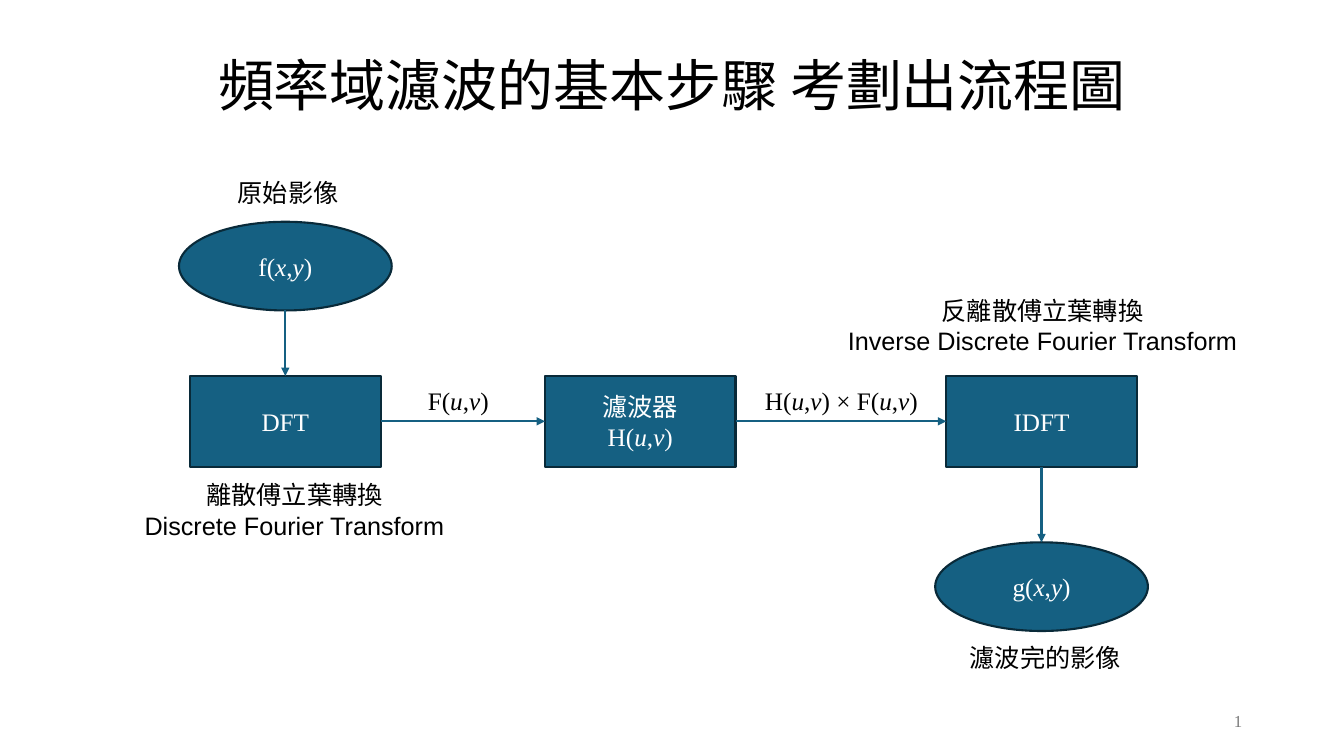
import pptx
import pptx.dml.color
import pptx.enum.shapes
import pptx.enum.text
import pptx.oxml
import pptx.oxml.ns
import pptx.util
from lxml import etree

Inches, Pt = pptx.util.Inches, pptx.util.Pt
RGBColor = pptx.dml.color.RGBColor
MSO_SHAPE = pptx.enum.shapes.MSO_SHAPE
ALIGN = pptx.enum.text.PP_ALIGN
ANCHOR = pptx.enum.text.MSO_ANCHOR
AUTO_SIZE = pptx.enum.text.MSO_AUTO_SIZE
qn = pptx.oxml.ns.qn

TEAL = RGBColor(0x15, 0x60, 0x82)
NAVY = RGBColor(0x09, 0x2A, 0x39)
BLACK = RGBColor(0, 0, 0)
WHITE = RGBColor(0xFF, 0xFF, 0xFF)
GRAY = RGBColor(0x79, 0x79, 0x79)
SERIF, SANS = "Times New Roman", "Arial"

STEP = (MSO_SHAPE.RECTANGLE, 1.89, 0.9)
IMAGE = (MSO_SHAPE.OVAL, 2.11, 0.88)


def apply(target, formats):
    for name, value in formats.items():
        setattr(target, name, value)


class FlowSlide:
    """Holds the shared style and the slide being drawn."""

    line_width = Pt(1.5)

    def __init__(self, deck):
        self.slide = deck.slides.add_slide(deck.slide_layouts[5])
        self.shapes = self.slide.shapes

    def set_text(self, shape, lines, size=18, color=BLACK, fonts=(SERIF,),
                 align=ALIGN.CENTER, **frame_formats):
        """Fill a shape; text between asterisks is italic."""
        frame = shape.text_frame
        apply(frame, {"word_wrap": True, "auto_size": AUTO_SIZE.NONE,
                      "vertical_anchor": ANCHOR.TOP, **frame_formats})
        for index, line in enumerate(lines):
            paragraph = frame.add_paragraph() if index else frame.paragraphs[0]
            paragraph.alignment = align
            for part, text in enumerate(line.split("*")):
                run = paragraph.add_run()
                run.text = text
                apply(run.font, {"size": Pt(size), "italic": part % 2 == 1,
                                 "name": fonts[min(index, len(fonts) - 1)]})
                run.font.color.rgb = color

    def title(self, text):
        heading = self.shapes.title
        apply(heading, {"left": 0, "top": Inches(0.45),
                        "width": Inches(13.33), "height": Inches(0.77)})
        self.set_text(heading, [text], size=40)

    def label(self, left, top, width, height, lines, **formats):
        box = self.shapes.add_textbox(Inches(left), Inches(top),
                                      Inches(width), Inches(height))
        self.set_text(box, lines, **formats)
        return box

    def node(self, kind, center_x, center_y, lines):
        preset, width, height = kind
        shape = self.shapes.add_shape(
            preset, Inches(center_x - width / 2), Inches(center_y - height / 2),
            Inches(width), Inches(height))
        shape.shadow.inherit = False
        shape.fill.solid()
        shape.fill.fore_color.rgb = TEAL
        shape.line.color.rgb = NAVY
        shape.line.width = self.line_width
        self.set_text(shape, lines, color=WHITE, vertical_anchor=ANCHOR.MIDDLE)
        return shape

    def arrow(self, source, target, down=False):
        """Run from the bottom (or right) of source to the top (or left) of target."""
        if down:
            start = source.left + source.width // 2, source.top + source.height
        else:
            start = source.left + source.width, source.top + source.height // 2
        link = self.shapes.add_connector(
            pptx.enum.shapes.MSO_CONNECTOR.STRAIGHT, *start, *start)
        link.end_connect(target, 0 if down else 1)
        link.line.color.rgb = TEAL
        link.line.width = self.line_width
        properties = link._element.spPr
        etree.SubElement(properties.find(qn("a:ln")), qn("a:tailEnd"), type="triangle")
        etree.SubElement(properties, qn("a:effectLst"))

    def page_number(self):
        box = self.label(9.42, 6.95, 3, 0.4, ["1"], size=12, color=GRAY,
                         align=ALIGN.RIGHT, vertical_anchor=ANCHOR.MIDDLE)
        # Turn the run into a live slide number field
        run = box.text_frame.paragraphs[0].runs[0]._r
        field = etree.Element(qn("a:fld"), type="slidenum",
                              id="{B6F15528-21DE-4FAA-801E-634DDDAF4B2B}")
        run.addprevious(field)
        field.extend(list(run))
        run.getparent().remove(run)


def main():
    deck = pptx.Presentation()
    apply(deck, {"slide_width": Inches(13.33), "slide_height": Inches(7.5)})
    flow = FlowSlide(deck)
    flow.title("頻率域濾波的基本步驟 考劃出流程圖")

    # Processing steps
    first_x, filter_x, last_x, row_y = 2.83, 6.35, 10.33, 4.18
    source_image = flow.node(IMAGE, first_x, 2.64, ["f(*x*,*y*)"])
    dft = flow.node(STEP, first_x, row_y, ["DFT"])
    filtering = flow.node(STEP, filter_x, row_y, ["濾波器", "H(*u*,*v*)"])
    idft = flow.node(STEP, last_x, row_y, ["IDFT"])
    result_image = flow.node(IMAGE, last_x, 5.82, ["g(*x*,*y*)"])

    # Flow between steps
    flow.arrow(source_image, dft, down=True)
    flow.arrow(dft, filtering)
    flow.arrow(filtering, idft)
    flow.arrow(idft, result_image, down=True)

    # Signals on the arrows
    flow.label(4.05, 3.77, 0.99, 0.4, ["F(*u*,*v*)"])
    flow.label(7.23, 3.77, 2.23, 0.4, ["H(*u*,*v*) × F(*u*,*v*)"])

    # Captions beside the steps
    caption = {"word_wrap": False, "fonts": (SERIF, SANS)}
    flow.label(2.26, 1.71, 1.21, 0.4, ["原始影像"], align=ALIGN.LEFT, **caption)
    flow.label(9.52, 6.32, 1.72, 0.4, ["濾波完的影像"], align=ALIGN.LEFT, **caption)
    flow.label(1.32, 4.71, 3.2, 0.71,
               ["離散傅立葉轉換", "Discrete Fourier Transform"], **caption)
    flow.label(8.29, 2.88, 4.1, 0.71,
               ["反離散傅立葉轉換", "Inverse Discrete Fourier Transform"], **caption)

    flow.page_number()
    deck.save("out.pptx")


if __name__ == "__main__":
    main()
